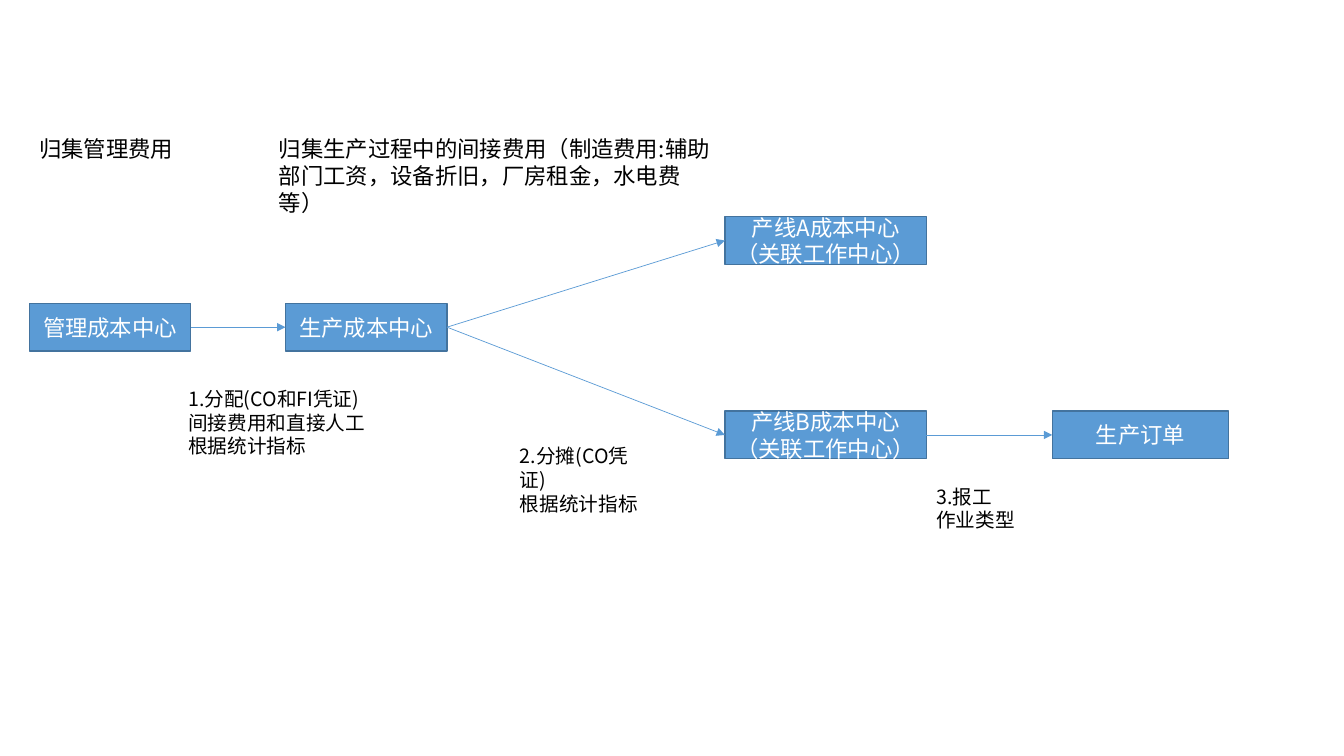
from lxml import etree
from pptx import Presentation
from pptx.dml.color import RGBColor
from pptx.enum.shapes import MSO_CONNECTOR, MSO_SHAPE
from pptx.enum.text import MSO_ANCHOR, PP_ALIGN
from pptx.oxml.ns import qn
from pptx.util import Pt

RECTANGLE = MSO_SHAPE.RECTANGLE
STRAIGHT = MSO_CONNECTOR.STRAIGHT
LEFT, CENTER = PP_ALIGN.LEFT, PP_ALIGN.CENTER
TOP, MIDDLE = MSO_ANCHOR.TOP, MSO_ANCHOR.MIDDLE
FONT = "Noto Sans CJK SC"
RIGHT_SITE, LEFT_SITE = 3, 1
BOX_HEIGHT = 34


def color(hex_string):
    return RGBColor.from_string(hex_string)


def write(frame, text, size=16, fill="000000", align=LEFT, anchor=TOP):
    frame.word_wrap = True
    frame.vertical_anchor = anchor
    frame.text = text
    for paragraph in frame.paragraphs:
        paragraph.alignment = align
        for run in paragraph.runs:
            run.font.size = Pt(size)
            run.font.name = FONT
            run.font.color.rgb = color(fill)
            etree.SubElement(run.font._element, qn("a:ea"), typeface=FONT)


prs = Presentation()
prs.slide_width, prs.slide_height = Pt(960), Pt(540)
slide = prs.slides.add_slide(prs.slide_layouts[6])

cost_centers = {
    "管理成本中心": (20.9, 216.7, 115.4),
    "生产成本中心": (203.9, 216.7, 115.4),
    "产线A成本中心（关联工作中心）": (517.8, 154.8, 144),
    "产线B成本中心（关联工作中心）": (517.8, 293.7, 144),
    "生产订单": (751.6, 293.7, 126),
}
steps = []
for label, (left, top, width) in cost_centers.items():
    step = slide.shapes.add_shape(RECTANGLE, Pt(left), Pt(top), Pt(width), Pt(BOX_HEIGHT))
    step.shadow.inherit = False
    step.fill.solid()
    step.fill.fore_color.rgb = color("5B9BD5")
    step.line.color.rgb = color("43739E")
    step.line.width = Pt(1)
    write(step.text_frame, label, fill="FFFFFF", align=CENTER, anchor=MIDDLE)
    steps.append(step)

management, production, line_a, line_b, order = steps
flows = [(management, production), (production, line_a), (production, line_b), (line_b, order)]
for source, target in flows:
    flow = slide.shapes.add_connector(STRAIGHT, 0, 0, 0, 0)
    flow.begin_connect(source, RIGHT_SITE)
    flow.end_connect(target, LEFT_SITE)
    flow.line.color.rgb = color("5B9BD5")
    flow.line.width = Pt(0.5)
    etree.SubElement(flow.line._get_or_add_ln(), qn("a:tailEnd"), type="triangle")
    etree.SubElement(flow._element.spPr, qn("a:effectLst"))

notes = [
    ("归集管理费用", 20.9, 92.9, 111.6, 26.6, 16),
    ("归集生产过程中的间接费用（制造费用:辅助部门工资，设备折旧，厂房租金，水电费等）",
     192.2, 92.9, 326.2, 46, 16),
    ("1.分配(CO和FI凭证)\n间接费用和直接人工\n根据统计指标", 127.4, 272.9, 141.8, 58.3, 14),
    ("2.分摊(CO凭证)\n根据统计指标", 364.3, 313.9, 109.4, 41, 14),
    ("3.报工\n作业类型", 661.7, 342.7, 71.3, 41, 14),
]
for text, left, top, width, height, size in notes:
    note = slide.shapes.add_textbox(Pt(left), Pt(top), Pt(width), Pt(height))
    write(note.text_frame, text, size=size)

prs.save("out.pptx")
